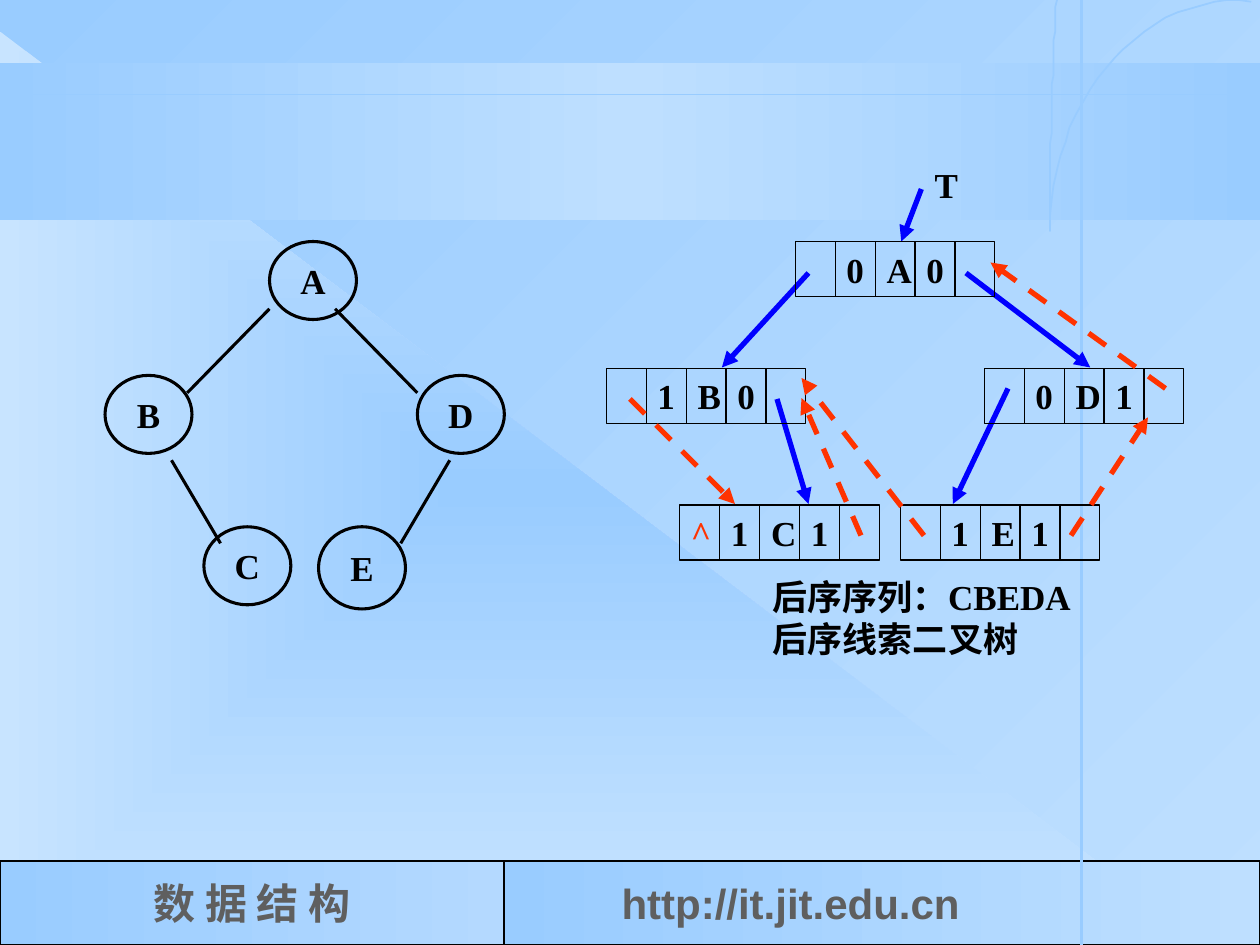
import pptx
import pptx.dml.color
import pptx.enum.dml
import pptx.enum.shapes
import pptx.enum.text
import pptx.oxml
import pptx.oxml.ns
import pptx.util

Pt = pptx.util.Pt
RGB = pptx.dml.color.RGBColor
SHAPES = pptx.enum.shapes.MSO_SHAPE
ALIGN = pptx.enum.text.PP_ALIGN
ANCHOR = pptx.enum.text.MSO_ANCHOR
qn = pptx.oxml.ns.qn

SKY = RGB(0x99, 0xCC, 0xFF)
PALE = RGB(0xBE, 0xDF, 0xFF)
PALER = RGB(0xC8, 0xE4, 0xFF)
MIST = RGB(0xB4, 0xD9, 0xFF)
BLACK = RGB(0, 0, 0)
GRAY = RGB(0x5F, 0x5F, 0x5F)
BLUE = RGB(0, 0, 0xFF)
RED = RGB(0xFF, 0x33, 0x00)

RECORD_W, RECORD_H, FIELDS = 114, 31.5, 5
FIELD_W = RECORD_W / FIELDS


def add_child(parent, tag, **attributes):
    child = pptx.oxml.parse_xml(f'<{tag} {pptx.oxml.ns.nsdecls("a")}/>')
    for name, value in attributes.items():
        child.set(name, str(value))
    parent.append(child)
    return child


def paint_gradient(fill, element, colors, angle=0, from_center=False):
    """Spread colors evenly, along a clockwise angle or outward from the centre."""
    fill.gradient()
    gradient = element.find(".//" + qn("a:gradFill"))
    for child in list(gradient):
        gradient.remove(child)
    stops = add_child(gradient, "a:gsLst")
    for i, color in enumerate(colors):
        stop = add_child(stops, "a:gs", pos=100000 * i // (len(colors) - 1))
        add_child(stop, "a:srgbClr", val=color)
    if from_center:
        route = add_child(gradient, "a:path", path="rect")
        add_child(route, "a:fillToRect", l=50000, t=50000, r=50000, b=50000)
    else:
        add_child(gradient, "a:lin", ang=angle * 60000, scaled=0)


def write_text(shape, text, size=20, font="Times New Roman", color=BLACK,
               align=ALIGN.CENTER, anchor=ANCHOR.MIDDLE, wrap=False, indent=7.2):
    frame = shape.text_frame
    frame.text = text
    frame.word_wrap = wrap
    frame.vertical_anchor = anchor
    frame.margin_left = Pt(indent)
    for paragraph in frame.paragraphs:
        paragraph.alignment = align
        paragraph.font.size = Pt(size)
        paragraph.font.name = font
        paragraph.font.bold = True
        paragraph.font.color.rgb = color


def curve_points(start, control1, control2, end, until=1.0, steps=24):
    """Points on a cubic curve, from after its start up to parameter until."""
    for i in range(1, steps + 1):
        t = until * i / steps
        weights = ((1 - t) ** 3, 3 * t * (1 - t) ** 2, 3 * t * t * (1 - t), t ** 3)
        yield tuple(sum(w * p[axis] for w, p in
                        zip(weights, (start, control1, control2, end)))
                    for axis in (0, 1))


class TreeSlide:
    def __init__(self, slide):
        self.slide = slide
        self.shapes = slide.shapes

    def shape(self, kind, x, y, w, h, colors=None, line=None, **gradient):
        shape = self.shapes.add_shape(kind, Pt(x), Pt(y), Pt(w), Pt(h))
        shape.shadow.inherit = False
        if colors:
            paint_gradient(shape.fill, shape.element, colors, **gradient)
        else:
            shape.fill.background()
        if line:
            shape.line.color.rgb = BLACK
            shape.line.width = Pt(line)
        else:
            shape.line.fill.background()
        return shape

    def line(self, start, end, color=BLACK, width=1.75, arrow=False, dashed=False):
        line = self.shapes.add_connector(pptx.enum.shapes.MSO_CONNECTOR.STRAIGHT,
                                         *map(Pt, start + end))
        line.line.color.rgb = color
        line.line.width = Pt(width)
        if dashed:
            line.line.dash_style = pptx.enum.dml.MSO_LINE.DASH
        properties = line.element.spPr
        if arrow:
            add_child(properties.find(qn("a:ln")), "a:tailEnd", type="triangle")
        add_child(properties, "a:effectLst")

    def outline(self, points, color, width):
        builder = self.shapes.build_freeform(*points[0], scale=float(Pt(1)))
        builder.add_line_segments(points[1:], close=False)
        outline = builder.convert_to_shape()
        outline.shadow.inherit = False
        outline.fill.background()
        outline.line.color.rgb = color
        outline.line.width = Pt(width)

    def label(self, text, x, y, w, h, **style):
        write_text(self.shapes.add_textbox(Pt(x), Pt(y), Pt(w), Pt(h)), text, **style)

    def circle(self, name, x, y, h=44.6):
        write_text(self.shape(SHAPES.OVAL, x, y, 49.7, h, line=1.75), name)

    def record(self, name, x, y, fields):
        """A node of five fields; fields maps a field number to its text and colour."""
        box = self.shape(SHAPES.RECTANGLE, x, y, RECORD_W, RECORD_H, line=0.75)
        write_text(box, name, align=ALIGN.LEFT, wrap=True, indent=52.2)
        for i in range(1, FIELDS):
            self.line((x + i * FIELD_W, y), (x + i * FIELD_W, y + 31), width=0.75)
        for i, (text, color) in fields.items():
            self.label(text, x + (i + 0.5) * FIELD_W - 12.2, y, 24.4, RECORD_H, color=color)


def draw_background(page):
    paint_gradient(page.slide.background.fill, page.slide.element, (SKY, PALE), angle=45)
    page.shape(SHAPES.RIGHT_TRIANGLE, 0, 18, 690, 522, (SKY, PALER), from_center=True)
    page.shape(SHAPES.RECTANGLE, 0, 36, 720, 90, (SKY, PALE, SKY))
    course = page.shape(SHAPES.RECTANGLE, 0, 492, 288, 48, (SKY, MIST), line=1.5)
    write_text(course, "数 据 结 构", size=24, color=GRAY)
    site = page.shape(SHAPES.RECTANGLE, 288, 492, 432, 48, (SKY, PALE), line=1.5)
    write_text(site, "http://it.jit.edu.cn", size=24, font="Arial", color=GRAY,
               align=ALIGN.LEFT, wrap=True, indent=67.2)
    page.line((0, 54), (720, 54), SKY, 1)
    page.line((618, 0), (618, 540), SKY, 1.5)
    arc_top, arc_foot = (708.5, 0), (600, 132.5)
    page.outline([(715, 0.7), arc_top,
                  *curve_points(arc_top, (648.5, 0), (600, 59), arc_foot),
                  *curve_points(arc_foot, (600, -195), (648.5, -136), (708.5, -136),
                                until=0.165)], SKY, 1)


def draw_tree(page):
    for name, x, y in (("A", 154, 138), ("B", 60, 214.5), ("C", 116.5, 301),
                       ("D", 238.5, 214.5)):
        page.circle(name, x, y)
    page.circle("E", 182, 301, h=47)
    for start, end in (((154, 176.5), (107, 224.5)), ((191.5, 176.5), (238.5, 224.5)),
                       ((98, 263), (126, 310.5)), ((257, 263), (229, 310.5))):
        page.line(start, end)


def draw_threaded_tree(page):
    for start, end in (((462, 156), (412.5, 210)), ((552, 156), (623, 210)),
                       ((444, 228), (462, 288)), ((576, 222), (544.5, 288)),
                       ((526.5, 108), (515, 138))):
        page.line(start, end, BLUE, 3, arrow=True)
    for name, x, y, left_tag, right_tag in (
            ("A", 454.5, 138, "0", "0"), ("B", 346.5, 210.5, "1", "0"),
            ("D", 562.5, 210.5, "0", "1"), ("C", 388.5, 288.5, "1", "1"),
            ("E", 514.5, 288.5, "1", "1")):
        fields = {1: (left_tag, BLACK), 3: (right_tag, BLACK)}
        if name == "C":
            fields[0] = ("^", RED)
        page.record(name, x, y, fields)
    page.label("T", 527, 90, 27.4, 31.5, align=ALIGN.LEFT, anchor=ANCHOR.TOP)
    page.label("后序序列：CBEDA\n后序线索二叉树", 434.5, 325.5, 189.5, 55.5,
               align=ALIGN.LEFT, anchor=ANCHOR.TOP)
    for start, end in (((360, 228), (420, 288)), ((492, 306), (458, 227.5)),
                       ((528, 306), (458, 216)), ((612, 306), (656, 238.5)),
                       ((666, 222), (566, 150))):
        page.line(start, end, RED, 3, arrow=True, dashed=True)


def main():
    deck = pptx.Presentation()
    deck.slide_width, deck.slide_height = Pt(720), Pt(540)
    page = TreeSlide(deck.slides.add_slide(deck.slide_layouts[6]))
    draw_background(page)
    draw_tree(page)
    draw_threaded_tree(page)
    deck.save("out.pptx")


if __name__ == "__main__":
    main()
